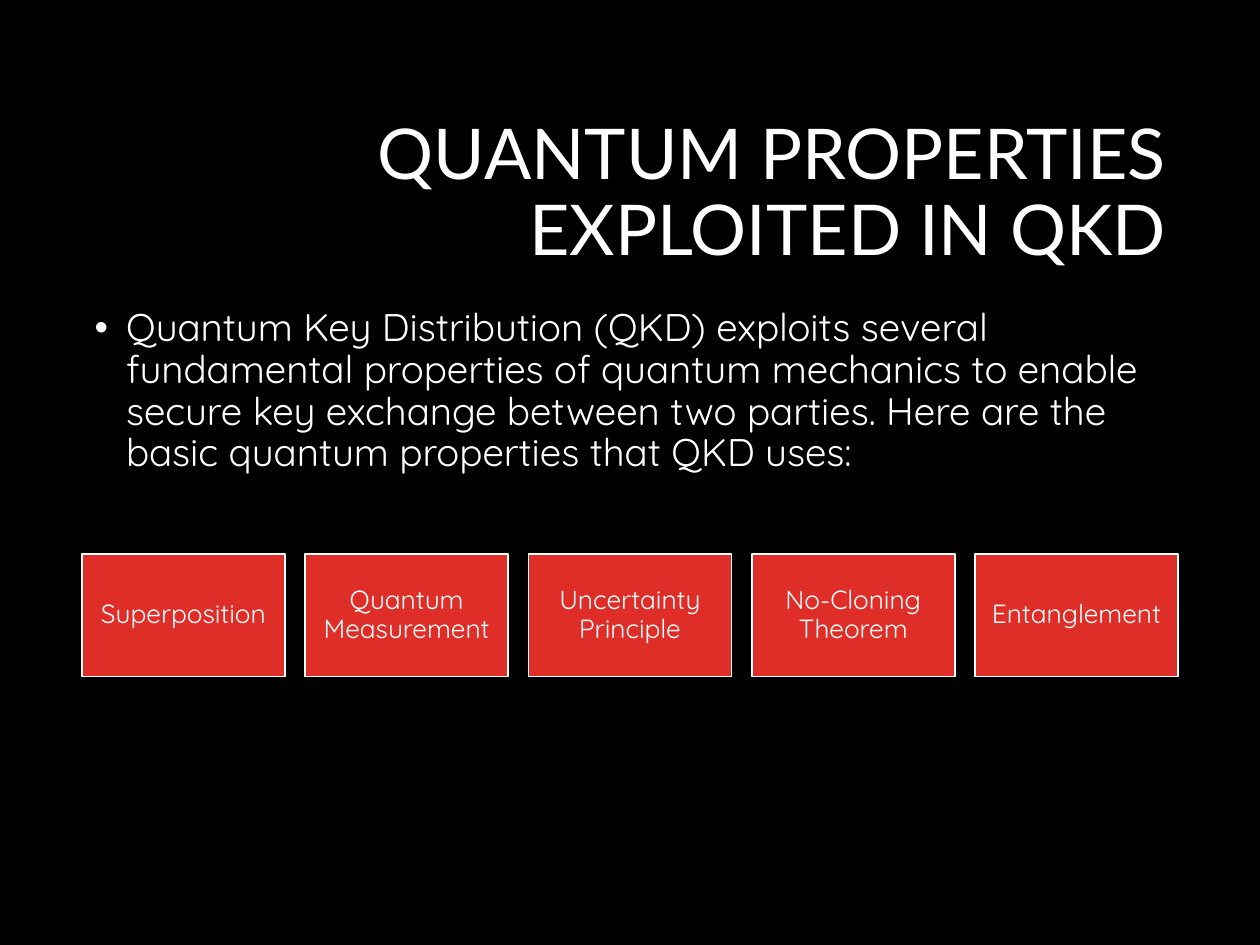
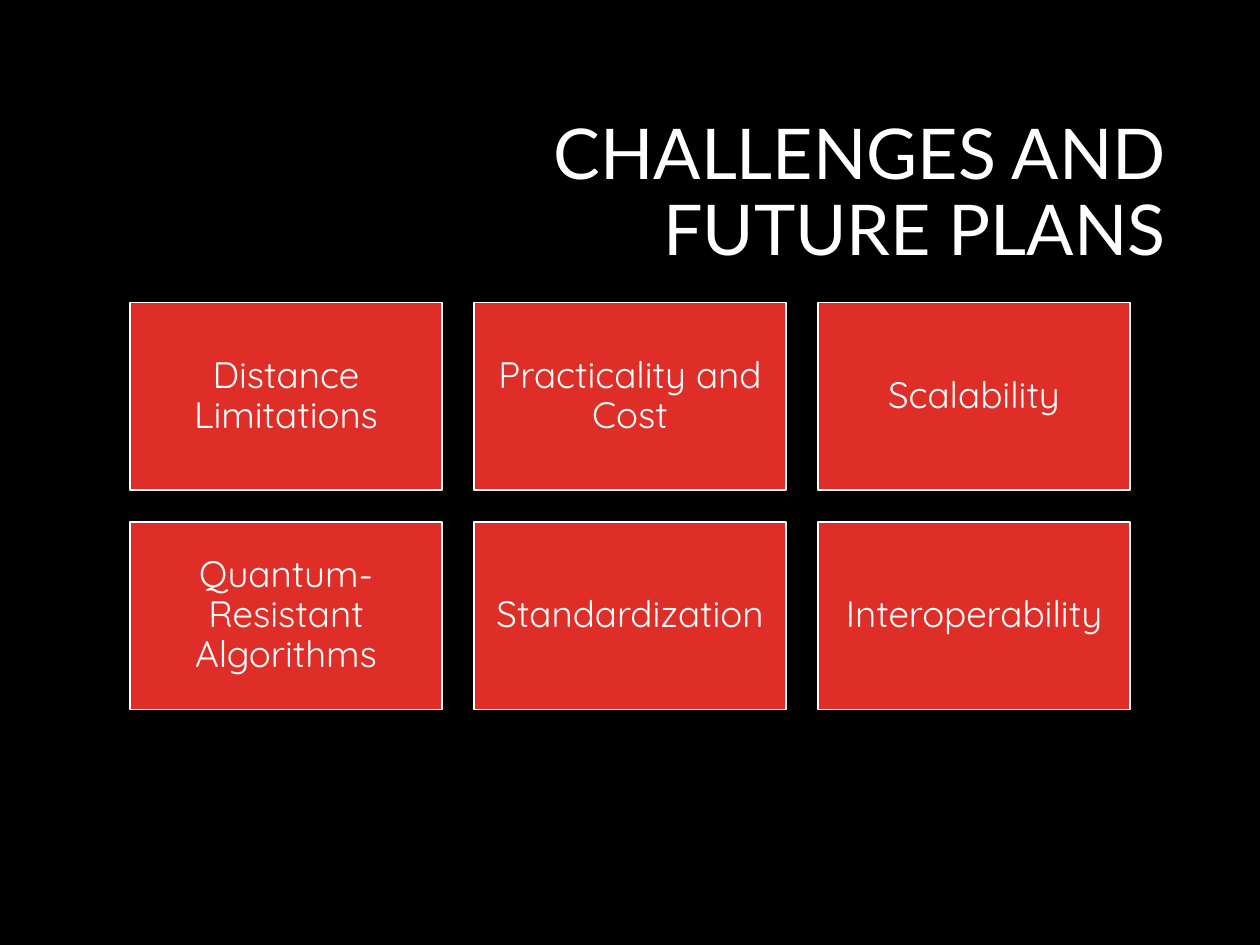
import lxml.etree
import pptx
import pptx.dml.color
import pptx.enum.shapes
import pptx.enum.text
import pptx.oxml.ns
import pptx.util

Inches = pptx.util.Inches
Pt = pptx.util.Pt
Align = pptx.enum.text.PP_ALIGN
Anchor = pptx.enum.text.MSO_ANCHOR

BLACK = pptx.dml.color.RGBColor(0x00, 0x00, 0x00)
WHITE = pptx.dml.color.RGBColor(0xFF, 0xFF, 0xFF)
RED = pptx.dml.color.RGBColor(0xDF, 0x2E, 0x28)

TITLE_FONT = "Lato"
BODY_FONT = "Quicksand"
LAYOUT_TITLE_AND_BODY = 1
LAYOUT_TITLE_ONLY = 5

QUANTUM_PROPERTIES = [
    "Superposition",
    "Quantum Measurement",
    "Uncertainty Principle",
    "No-Cloning Theorem",
    "Entanglement",
]
CHALLENGES = [
    "Distance Limitations",
    "Practicality and Cost",
    "Scalability",
    "Quantum-Resistant Algorithms",
    "Standardization",
    "Interoperability",
]


class Deck:
    def __init__(self):
        self.presentation = pptx.Presentation()
        self.presentation.slide_width = Inches(10)
        self.presentation.slide_height = Inches(7.5)
        self.slide = None

    def add_slide(self, layout_index, title):
        layout = self.presentation.slide_layouts[layout_index]
        self.slide = self.presentation.slides.add_slide(layout)
        background = self.slide.background.fill
        background.solid()
        background.fore_color.rgb = BLACK
        shape = self.slide.shapes.title
        self.place(shape, 2.38, 0.84, 6.97, 1.41)
        self.add_text(shape, title, TITLE_FONT, 40, Align.RIGHT, Anchor.MIDDLE)

    def place(self, shape, left, top, width, height):
        shape.left, shape.top = Inches(left), Inches(top)
        shape.width, shape.height = Inches(width), Inches(height)

    def add_text(self, shape, text, font, size, alignment, anchor):
        frame = shape.text_frame
        frame.word_wrap = True
        frame.auto_size = pptx.enum.text.MSO_AUTO_SIZE.NONE
        frame.vertical_anchor = anchor
        paragraph = frame.paragraphs[0]
        paragraph.alignment = alignment
        paragraph.line_spacing = 0.9
        run = paragraph.add_run()
        run.text = text
        run.font.name = font
        run.font.size = Pt(size)
        run.font.color.rgb = WHITE
        return paragraph

    def bullet(self, text):
        shape = self.slide.placeholders[1]
        self.place(shape, 0.65, 2.4, 8.7, 4.45)
        paragraph = self.add_text(shape, text, BODY_FONT, 22, Align.LEFT, Anchor.TOP)
        paragraph.space_before = Pt(10)
        properties = paragraph._p.get_or_add_pPr()
        properties.set("marL", str(Inches(0.25)))
        properties.set("indent", str(-Inches(0.25)))
        mark = lxml.etree.SubElement(properties, pptx.oxml.ns.qn("a:buChar"))
        mark.set("char", "•")

    def box(self, text, left, top, width, height, size, inset):
        shape = self.slide.shapes.add_shape(
            pptx.enum.shapes.MSO_SHAPE.RECTANGLE,
            Inches(left), Inches(top), Inches(width), Inches(height))
        shape.shadow.inherit = False
        shape.fill.solid()
        shape.fill.fore_color.rgb = RED
        shape.line.color.rgb = WHITE
        shape.line.width = Pt(1)
        frame = shape.text_frame
        frame.margin_left = frame.margin_right = Inches(inset)
        frame.margin_top = frame.margin_bottom = Inches(inset)
        self.add_text(shape, text, BODY_FONT, size, Align.CENTER, Anchor.MIDDLE)

    def box_grid(self, labels, columns, top, total_width, box_height, gap, size, inset):
        """Fill a horizontally centred grid, row by row, with equal gaps."""
        left = (10 - total_width) / 2
        box_width = (total_width - (columns - 1) * gap) / columns
        for index, label in enumerate(labels):
            row, column = divmod(index, columns)
            self.box(label,
                     left + column * (box_width + gap),
                     top + row * (box_height + gap),
                     box_width, box_height, size, inset)


def main():
    deck = Deck()

    deck.add_slide(LAYOUT_TITLE_AND_BODY, "QUANTUM PROPERTIES EXPLOITED IN QKD")
    deck.bullet(
        "Quantum Key Distribution (QKD) exploits several fundamental properties "
        "of quantum mechanics to enable secure key exchange between two parties. "
        "Here are the basic quantum properties that QKD uses:")
    deck.box_grid(QUANTUM_PROPERTIES, columns=5, top=4.4, total_width=8.7,
                  box_height=0.97, gap=0.16, size=15, inset=0.06)

    deck.add_slide(LAYOUT_TITLE_ONLY, "CHALLENGES AND FUTURE PLANS")
    deck.box_grid(CHALLENGES, columns=3, top=2.4, total_width=7.94,
                  box_height=1.49, gap=0.25, size=21, inset=0.09)

    deck.presentation.save("out.pptx")


if __name__ == "__main__":
    main()
